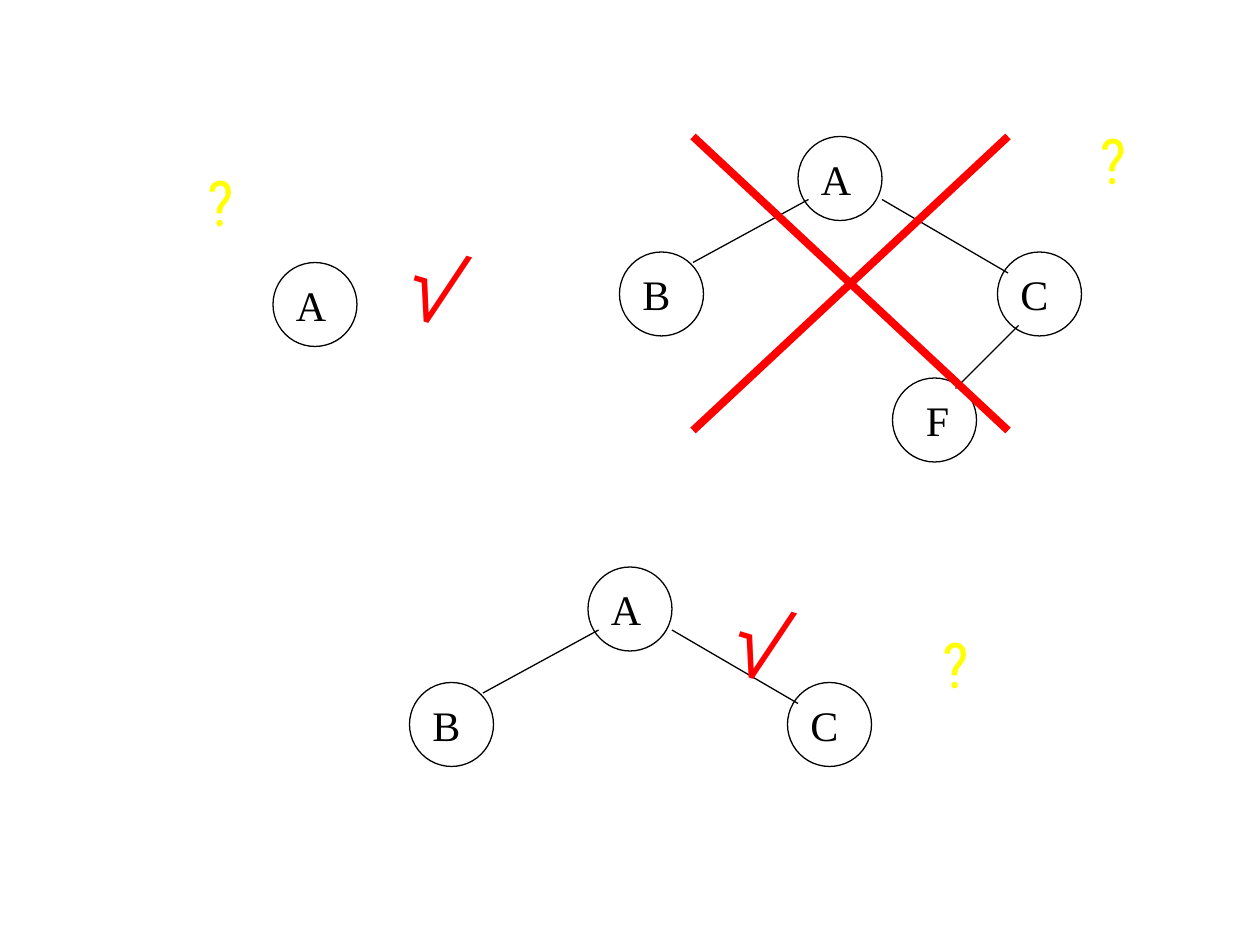
"""Draw three trees and mark which of them are valid."""
from dataclasses import dataclass

from lxml import etree
from pptx import Presentation
from pptx import util as u
from pptx.dml.color import RGBColor
from pptx.enum import shapes, text
from pptx.oxml.ns import qn


@dataclass(frozen=True)
class Theme:
    ink: str = "000000"
    red: str = "FF0000"
    gold: str = "FFFF00"
    serif: str = "Times New Roman"
    sans: str = "Arial"
    slim: str = "Roboto Condensed"
    small: int = 24
    mid: int = 36
    big: int = 54
    thin: float = 0.75
    thick: float = 4.5


@dataclass(frozen=True)
class Node:
    name: str
    x: int
    y: int
    wide: float
    inset: int = 1


@dataclass(frozen=True)
class Edge:
    x1: int
    y1: int
    x2: int
    y2: int


THEME = Theme()
STEP = 2.54 / 12
SIZE = 8
ROOT = Node("A", 0, 0, 5.28)
PAIR = [ROOT, Node("B", -17, 11, 5.04), Node("C", 19, 11, 5.04)]
LEAF = Node("F", 9, 23, 4.68, 2)
ARMS = [Edge(1, 6, -10, 12), Edge(8, 6, 20, 13)]
TWIG = Edge(21, 18, 15, 24)
CROSS = [Edge(66, 13, 96, 41), Edge(96, 13, 66, 41)]
TICKS = [(69, 55), (38, 21)]
ASKS = [(103, 11), (88, 59), (18, 15)]


def grid(val: float) -> u.Length:
    """Turn grid steps into a length."""
    return u.Cm(val * STEP)


def line(slide, edge: Edge, color: str, width: float) -> None:
    """Draw a straight line without shadow."""
    ends = [grid(v) for v in (edge.x1, edge.y1, edge.x2, edge.y2)]
    link = slide.shapes.add_connector(shapes.MSO_CONNECTOR.STRAIGHT, *ends)
    link.line.color.rgb = RGBColor.from_string(color)
    link.line.width = u.Pt(width)
    etree.SubElement(link._element.spPr, qn("a:effectLst"))


def label(slide, words: str, area: tuple, face: str, size: int, color: str,
          wrap: bool = False, grow: bool = True):
    """Add a text box and return it."""
    box = slide.shapes.add_textbox(*(grid(v) for v in area))
    frame = box.text_frame
    frame.text = words
    frame.word_wrap = wrap
    fit = text.MSO_AUTO_SIZE
    frame.auto_size = fit.SHAPE_TO_FIT_TEXT if grow else fit.NONE
    font = frame.paragraphs[0].runs[0].font
    font.name = face
    font.size = u.Pt(size)
    font.color.rgb = RGBColor.from_string(color)
    return box


def ring(slide, node: Node, x: int, y: int) -> None:
    """Draw one node as a circle with its letter."""
    left, top = x + node.x, y + node.y
    disc = slide.shapes.add_shape(shapes.MSO_SHAPE.OVAL, grid(left), grid(top),
                                  grid(SIZE), grid(SIZE))
    disc.shadow.inherit = False
    disc.fill.background()
    disc.line.color.rgb = RGBColor.from_string(THEME.ink)
    disc.line.width = u.Pt(THEME.thin)
    label(slide, node.name, (left + node.inset, top + 1, node.wide, 6),
          THEME.serif, THEME.small, THEME.ink)


def tree(slide, x: int, y: int, nodes: list[Node], edges: list[Edge]) -> None:
    """Draw a tree whose root has its corner at x, y."""
    for node in nodes:
        ring(slide, node, x, y)
    for edge in edges:
        moved = Edge(x + edge.x1, y + edge.y1, x + edge.x2, y + edge.y2)
        line(slide, moved, THEME.ink, THEME.thin)


def main() -> None:
    """Build and save the slide."""
    deck = Presentation()
    deck.slide_width, deck.slide_height = u.Cm(25.4), u.Cm(19.05)
    slide = deck.slides.add_slide(deck.slide_layouts[6])
    tree(slide, 26, 25, [ROOT], [])
    tree(slide, 56, 54, PAIR, ARMS)
    tree(slide, 76, 13, PAIR + [LEAF], ARMS + [TWIG])
    for x, y in TICKS:
        tick = label(slide, "√", (x, y, 6, 12), THEME.sans, THEME.big,
                     THEME.red, wrap=True)
        tick.rotation = 16.8
    for edge in CROSS:
        line(slide, edge, THEME.red, THEME.thick)
    for x, y in ASKS:
        ask = label(slide, "?", (x, y, 6, 10), THEME.slim, THEME.mid,
                    THEME.gold, grow=False)
        ask.text_frame.paragraphs[0].alignment = text.PP_ALIGN.CENTER
    deck.save("out.pptx")


if __name__ == "__main__":
    main()
